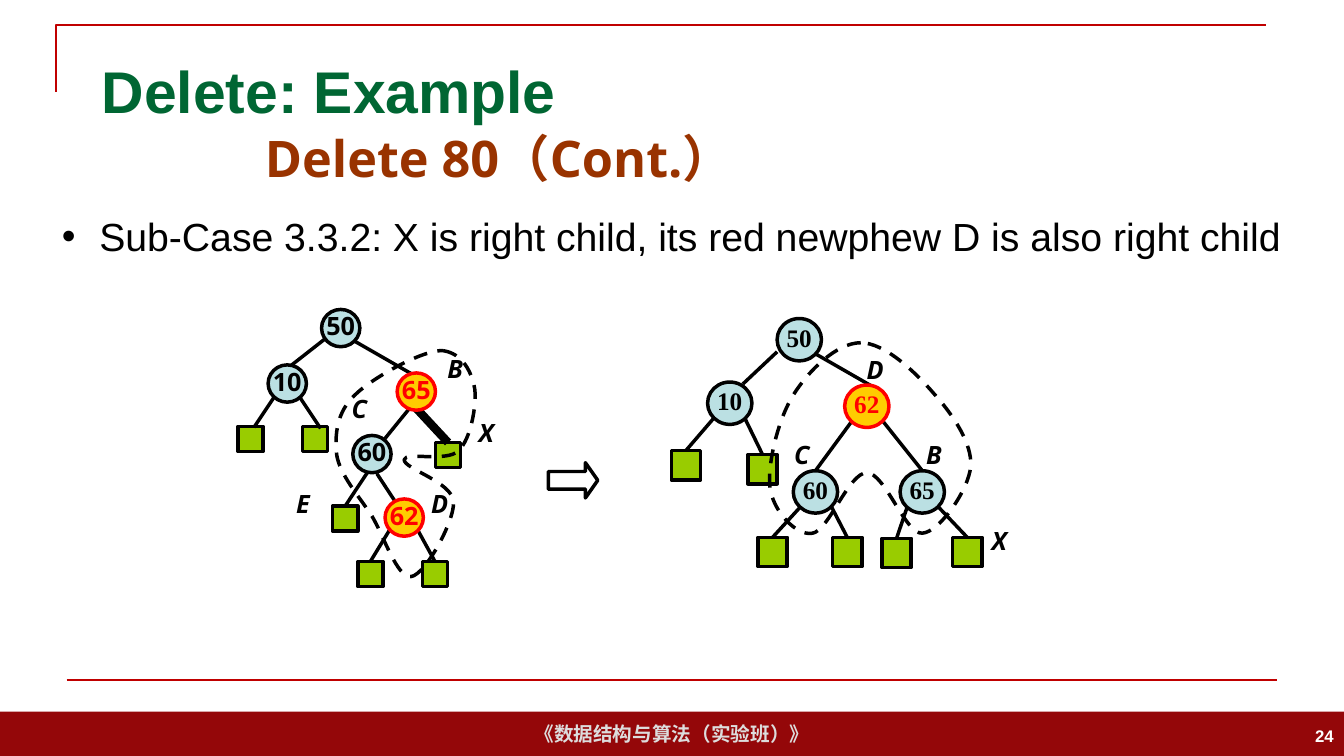
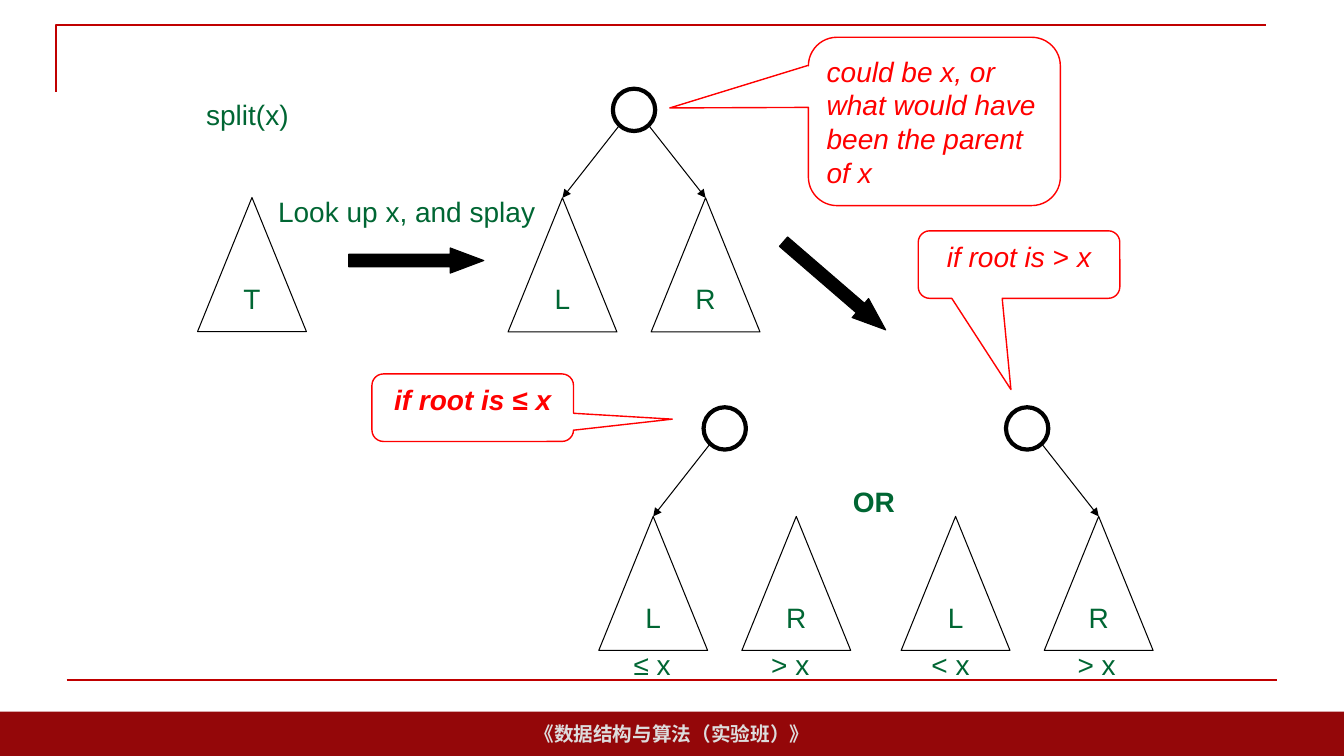
from lxml import etree
from pptx import Presentation
from pptx import util as u
from pptx.dml.color import RGBColor
from pptx.enum import dml, shapes, text
from pptx.oxml.ns import qn

# Grid: square cells, 13 1/3 columns by 7.5 rows
COLS, ROWS = 40 / 3, 7.5
CELL = u.Inches(1)

COLORS = {
    "band": "940709", "rule": "C00000", "footer": "DDDDDD", "white": "FFFFFF",
    "green": "006633", "brown": "993300", "black": "000000", "red": "FF0000",
    "node": "BBE0E3", "red node": "FFCC00", "leaf": "99CC00",
}
FORMATS = {
    "footer": dict(name="Arial", size=14, bold=True, color="footer"),
    "number": dict(name="Arial", size=12, bold=True, color="white"),
    "title": dict(name="Arial", size=42, bold=True, color="green"),
    "subtitle": dict(name="Open Sans", size=36, bold=True, color="brown"),
    "body": dict(name="Arial", size=28, color="black"),
    "label": dict(name="Open Sans", size=18, bold=True, italic=True, color="black"),
    "green": dict(name="Arial", size=20, color="green"),
    "strong": dict(name="Arial", size=20, bold=True, color="green"),
    "callout": dict(name="Arial", size=20, italic=True, color="red"),
}
CENTER, LEFT, RIGHT = text.PP_ALIGN.CENTER, text.PP_ALIGN.LEFT, text.PP_ALIGN.RIGHT
MIDDLE, TOP = text.MSO_ANCHOR.MIDDLE, text.MSO_ANCHOR.TOP
KIND = shapes.MSO_SHAPE

# Trees: nodes (key, x, y, red), edges (x1, y1, x2, y2), labels (letter, x, y),
# leaves (x, y) with an optional stem (x, y, width) joined at the middle,
# loop as a start point followed by three points for each curve
BEFORE = dict(
    font="Open Sans", node_size=(0.38, 0.37), leaf_size=0.25, label_width=0.47,
    nodes=[("50", 3.19, 3.07, False), ("10", 2.66, 3.62, False),
           ("60", 3.5, 4.32, False), ("62", 3.82, 4.95, True),
           ("65", 3.94, 3.7, True)],
    edges=[(3.24, 3.35, 2.87, 3.64), (3.51, 3.38, 4.12, 3.73),
           (3.74, 4.7, 3.93, 4.99), (3.82, 4.35, 4.08, 4.03),
           (3.18, 4.25, 2.98, 3.95), (2.52, 4.24, 2.72, 3.94)],
    leaves=[(2.36, 4.23), (3, 4.23),
            (3.55, 5.57, 3.87, 5.25, 2.5), (4.19, 5.57, 4.14, 5.25, 2.5),
            (3.3, 5.02, 3.65, 4.68, 2.5), (4.32, 4.39, 4.12, 4.04, 6)],
    labels=[("X", 4.65, 4.09), ("C", 3.39, 3.85), ("D", 4.18, 4.8),
            ("E", 2.84, 4.8), ("B", 4.34, 3.46)],
    loop=[(4.4, 3.48),
          (4.59, 3.51), (4.68, 3.69), (4.71, 3.86), (4.73, 4.02), (4.67, 4.36), (4.55, 4.47),
          (4.44, 4.59), (4.02, 4.48), (4.01, 4.56), (4, 4.65), (4.49, 4.78), (4.5, 4.98),
          (4.51, 5.17), (4.22, 5.7), (4.08, 5.72), (3.94, 5.74), (3.81, 5.32), (3.69, 5.12),
          (3.56, 4.92), (3.37, 4.71), (3.34, 4.51), (3.32, 4.31), (3.34, 4.09), (3.52, 3.92),
          (3.69, 3.75), (4.21, 3.46), (4.4, 3.48)],
)
AFTER = dict(
    font="Times New Roman", node_size=(0.44, 0.42), leaf_size=0.29, label_width=0.54,
    nodes=[("50", 7.71, 3.16, False), ("10", 7.02, 3.79, False),
           ("62", 8.38, 3.82, True), ("65", 8.93, 4.67, False),
           ("60", 7.87, 4.67, False)],
    edges=[(7.71, 3.49, 7.37, 3.81), (8.09, 3.51, 8.77, 3.9),
           (8.09, 4.67, 8.45, 4.18), (8.76, 4.18, 9.15, 4.67)],
    leaves=[(6.66, 4.47, 7.08, 4.15, 2.5), (7.42, 4.51, 7.39, 4.15, 2.5),
            (8.75, 5.34, 9, 5.03, 2.5), (9.45, 5.33, 9.31, 5.03, 2.5),
            (7.52, 5.33, 7.94, 5.03, 2.5), (8.26, 5.33, 8.25, 5.03, 2.5)],
    labels=[("D", 8.5, 3.47), ("B", 9.09, 4.31), ("C", 7.78, 4.31), ("X", 9.74, 5.16)],
    loop=[(8.54, 3.4),
          (8.3, 3.4), (8.02, 3.68), (7.87, 3.92), (7.72, 4.16), (7.61, 4.61), (7.64, 4.84),
          (7.67, 5.07), (7.9, 5.32), (8.06, 5.29), (8.22, 5.27), (8.42, 4.69), (8.6, 4.69),
          (8.78, 4.69), (8.98, 5.3), (9.15, 5.29), (9.32, 5.28), (9.61, 4.86), (9.63, 4.63),
          (9.65, 4.4), (9.45, 4.11), (9.27, 3.91), (9.09, 3.7), (8.78, 3.4), (8.54, 3.4)],
)


# Basic elements
def grid(*cells):
    return [round(cell * CELL) for cell in cells]


def color(name):
    return RGBColor.from_string(COLORS[name])


def paint(shape, fill=None, line=None, width=1):
    shape.shadow.inherit = False
    if fill:
        shape.fill.solid()
        shape.fill.fore_color.rgb = color(fill)
    else:
        shape.fill.background()
    if line:
        shape.line.color.rgb = color(line)
        shape.line.width = u.Pt(width)
    else:
        shape.line.fill.background()
    return shape


def style(font, form):
    for key, value in form.items():
        if key == "color":
            font.color.rgb = color(value)
        else:
            setattr(font, key, u.Pt(value) if key == "size" else value)


def write(box, spans, form, align=CENTER, anchor=MIDDLE, wrap=False, **margins):
    """Fill a box with one paragraph; spans are (words, changes) pairs or a string."""
    frame = box.text_frame
    layout = dict(word_wrap=wrap, vertical_anchor=anchor, **margins)
    for key, value in layout.items():
        setattr(frame, key, value)
    para = frame.paragraphs[0]
    para.alignment = align
    for words, changes in [(spans, {})] if isinstance(spans, str) else spans:
        span = para.add_run()
        span.text = words
        style(span.font, {**form, **changes})
    return para


def add_text(page, place, words, form, **layout):
    box = page.shapes.add_textbox(*grid(*place))
    return write(box, words, FORMATS[form], **layout)


def add_shape(page, kind, place, adjust=(), **look):
    shape = paint(page.shapes.add_shape(kind, *grid(*place)), **look)
    for index, value in enumerate(adjust):
        shape.adjustments[index] = value
    return shape


def add_line(page, ends, width, name="black", target=None, arrow=False):
    """Draw a straight line; a target is joined at its top."""
    line = page.shapes.add_connector(shapes.MSO_CONNECTOR.STRAIGHT, *grid(*ends))
    if target is not None:
        line.end_connect(target, 0)
    line.line.color.rgb = color(name)
    line.line.width = u.Pt(width)
    properties = line._element.spPr
    if arrow:
        etree.SubElement(properties.find(qn("a:ln")), qn("a:tailEnd"), type="triangle")
    etree.SubElement(properties, qn("a:effectLst"))


def add_outline(page, points, close, **look):
    start, *rest = [grid(*point) for point in points]
    builder = page.shapes.build_freeform(*start)
    builder.add_line_segments(rest, close=close)
    return paint(builder.convert_to_shape(), **look)


def add_loop(page, points):
    """Draw a dashed closed outline, turning each three points into one curve."""
    loop = add_outline(page, points, False, line="black", width=2.5)
    loop.line.dash_style = dml.MSO_LINE.DASH
    outline = next(loop._element.iter(qn("a:moveTo"))).getparent()
    steps = outline.findall(qn("a:lnTo"))
    for first in range(0, len(steps), 3):
        curve = etree.SubElement(outline, qn("a:cubicBezTo"))
        for step in steps[first:first + 3]:
            curve.append(step[0])
            outline.remove(step)
    etree.SubElement(outline, qn("a:close"))


# Shared frame: footer band, corner line and bottom rule
def new_page(deck):
    page = deck.slides.add_slide(deck.slide_layouts[6])
    band = add_shape(page, KIND.RECTANGLE, (0, 7.06, COLS, 0.44), fill="band")
    write(band, "《数据结构与算法（实验班）》", FORMATS["footer"])
    add_outline(page, [(0.56, 0.91), (0.56, 0.25), (12.56, 0.25)], False,
                line="rule", width=1.5)
    add_line(page, (0.66, 6.75, 12.67, 6.75), 1.5, "rule")
    return page


# Red-black tree
def add_node(page, tree, key, x, y, red):
    ink = "red" if red else "black"
    node = add_shape(page, KIND.OVAL, (x, y, *tree["node_size"]),
                     fill="red node" if red else "node", line=ink, width=2.5)
    write(node, key, dict(name=tree["font"], size=18, bold=True, color=ink),
          margin_left=0, margin_right=0, margin_top=0, margin_bottom=u.Inches(0.05))


def add_tree(page, tree):
    side = tree["leaf_size"]
    for x, y, *stem in tree["leaves"]:
        leaf = add_shape(page, KIND.RECTANGLE, (x, y, side, side),
                         fill="leaf", line="black", width=2.5)
        if stem:
            stem_x, stem_y, width = stem
            add_line(page, (stem_x, stem_y, x + side / 2, y), width, target=leaf)
    for ends in tree["edges"]:
        add_line(page, ends, 2.5)
    for node in tree["nodes"]:
        add_node(page, tree, *node)
    for letter, x, y in tree["labels"]:
        add_text(page, (x, y, tree["label_width"], 0.4), letter, "label",
                 align=LEFT, anchor=TOP, wrap=True)
    add_loop(page, tree["loop"])


# Splay tree
def add_subtree(page, x, y, name):
    triangle = add_shape(page, KIND.ISOSCELES_TRIANGLE, (x, y, 1.08, 1.33),
                         line="black", width=0.75)
    write(triangle, name, FORMATS["green"])
    return triangle


def add_split(page, x, y, linked, captions=()):
    """Draw a root with subtrees L and R, linking those named."""
    add_shape(page, KIND.OVAL, (x, y, 0.42, 0.42), line="black", width=3)
    top = y + 13 / 12
    for name, shift, stem in (("L", -1.04, 0.06), ("R", 0.38, 0.36)):
        triangle = add_subtree(page, x + shift, top, name)
        if name in linked:
            add_line(page, (x + stem, y + 0.37, x + shift + 0.54, top), 0.75,
                     target=triangle, arrow=True)
    for words, left, width in captions:
        add_text(page, (left, top + 1.25, width, 0.44), words, "green", anchor=TOP)


def add_block_arrow(page, x, y, turn=0):
    arrow = add_shape(page, KIND.RIGHT_ARROW, (x, y, 1.34, 0.25), (0.5, 1.33),
                      fill="black", line="black", width=0.75)
    arrow.rotation = turn


def add_callout(page, place, pointer, spans, bold=False, **layout):
    bubble = add_shape(page, KIND.ROUNDED_RECTANGULAR_CALLOUT, place, (*pointer, 0.17),
                       line="red", width=1)
    write(bubble, spans, {**FORMATS["callout"], "bold": bold}, wrap=True, **layout)


# Pages
def delete_page(deck):
    page = new_page(deck)
    add_text(page, (0.91, 0.4, 11.5, 0.99), "Delete: Example", "title",
             align=LEFT, wrap=True)
    add_text(page, (10.33, 7.1, 3, 0.4), "24", "number", align=RIGHT, wrap=True)
    add_text(page, (0.66, 1.12, 8.58, 0.88), "Delete 80（Cont.）", "subtitle", wrap=True)
    para = add_text(
        page, (0.43, 2.06, 12.46, 0.57),
        "Sub-Case 3.3.2: X is right child, its red newphew D is also right child",
        "body", anchor=TOP, wrap=True)
    properties = para._p.get_or_add_pPr()
    indent = u.Inches(0.37)
    properties.set("marL", str(indent))
    properties.set("indent", str(-indent))
    etree.SubElement(properties, qn("a:buFont"), typeface="Arial")
    etree.SubElement(properties, qn("a:buChar"), char="•")
    add_tree(page, BEFORE)
    add_tree(page, AFTER)
    add_shape(page, KIND.RIGHT_ARROW, (5.44, 4.59, 0.49, 0.35), (0.5, 0.35),
              line="black", width=2.5)


def split_page(deck):
    page = new_page(deck)
    add_text(page, (1.94, 0.92, 1.03, 0.44), "split(x)", "green", anchor=TOP)
    add_subtree(page, 1.96, 1.96, "T")
    add_split(page, 6.08, 0.88, "LR")
    add_block_arrow(page, 3.46, 2.46)
    add_text(page, (2.65, 1.88, 2.77, 0.44), "Look up x, and splay", "green", anchor=TOP)
    add_block_arrow(page, 7.61, 2.71, 40.8)
    add_text(page, (8.36, 4.76, 0.62, 0.44), "OR", "strong", anchor=TOP)
    add_split(page, 6.98, 4.04, "L", [("≤ x", 5.96, 1.02), ("> x", 7.55, 0.58)])
    add_split(page, 9.98, 4.04, "R", [("< x", 9.14, 0.58), ("> x", 10.37, 1.02)])
    add_callout(page, (8.02, 0.37, 2.5, 1.67), (-1.05, -0.08),
                "could be x, or what would have been the parent of x", align=LEFT)
    for x, y, pointer, sign, bold in ((3.69, 3.71, (0.99, 0.17), "≤", True),
                                      (9.11, 2.29, (-0.04, 1.85), ">", False)):
        spans = [("if root is ", {}), (sign, {"italic": False}), (" x", {})]
        add_callout(page, (x, y, 2, 0.67), pointer, spans, bold, anchor=TOP)


def main():
    deck = Presentation()
    deck.slide_width, deck.slide_height = grid(COLS, ROWS)
    delete_page(deck)
    split_page(deck)
    deck.save("out.pptx")


if __name__ == "__main__":
    main()
